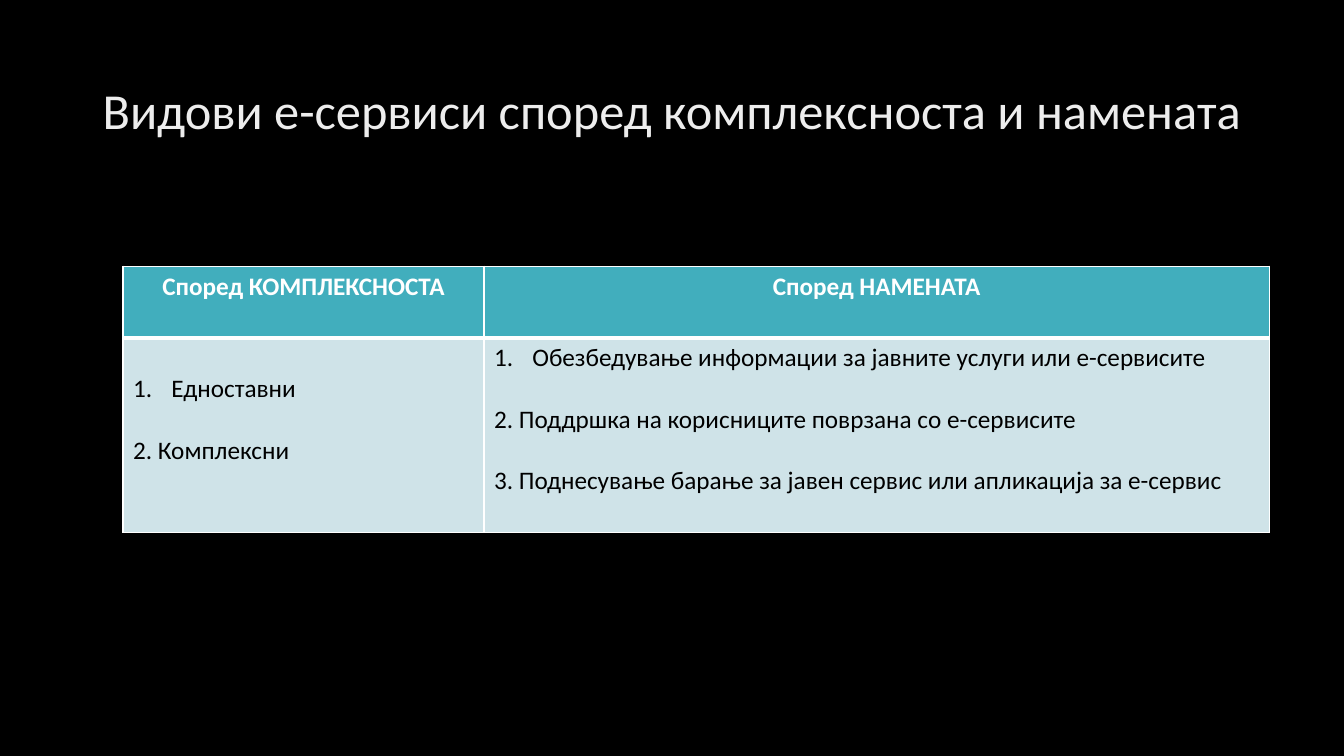
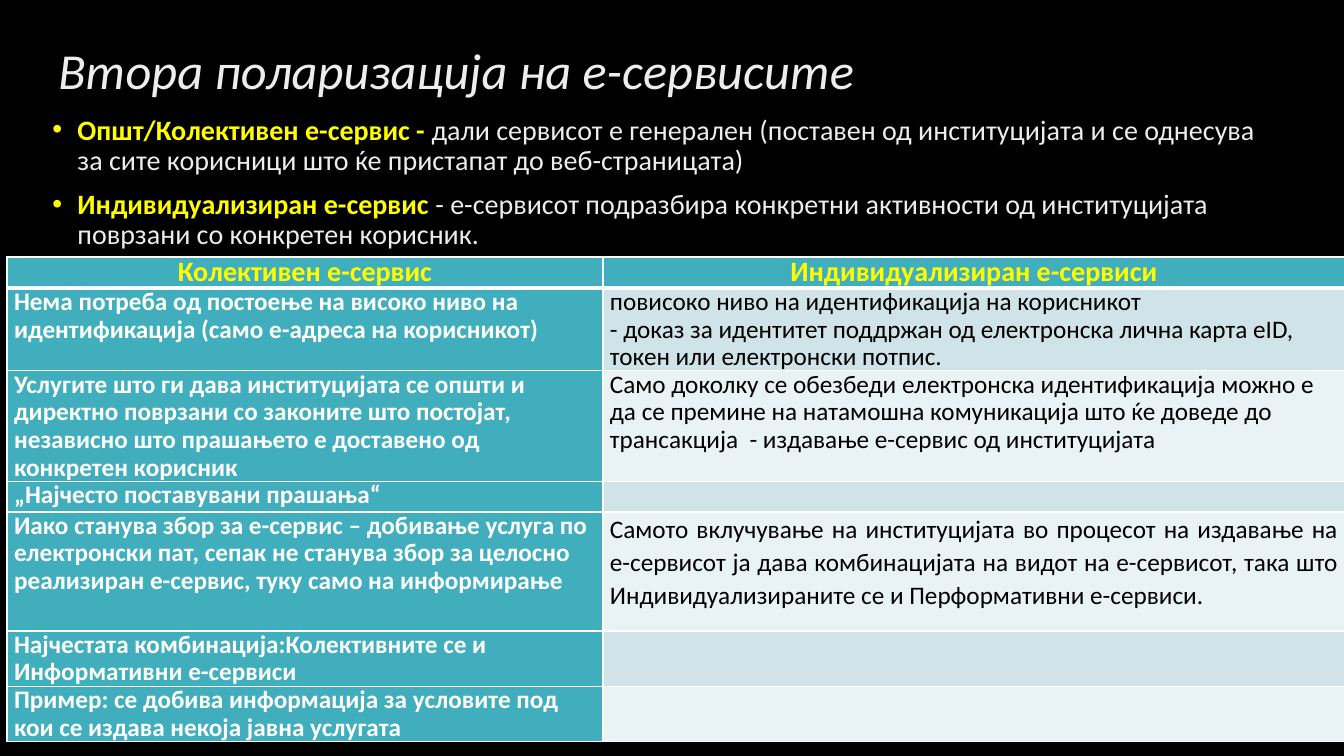
import pptx
import pptx.util
import pptx.dml.color
import pptx.enum.text
from lxml import etree
from pptx.oxml.ns import qn
from pptx.util import Inches, Pt

COLORS = {
    "background": "000000",
    "light": "EDEDED",
    "accent": "FFFF00",
    "header": "41AEBD",
    "band_dark": "CFE3E8",
    "band_light": "E9F2F4",
    "white": "FFFFFF",
    "black": "000000",
}
ALIGN = {
    "left": pptx.enum.text.PP_ALIGN.LEFT,
    "center": pptx.enum.text.PP_ALIGN.CENTER,
    "justify": pptx.enum.text.PP_ALIGN.JUSTIFY,
}


def rgb(name):
    return pptx.dml.color.RGBColor.from_string(COLORS[name])


def write(p, text, size=18, color="black", bold=False, italic=False,
          align="left", spacing=1.0, before=0, indent=0, bullet=None):
    """Add text to a paragraph; bullet is a character or "1." for numbering."""
    pPr = p._p.get_or_add_pPr()
    p.alignment = ALIGN[align]
    p.line_spacing = spacing
    p.space_before = Pt(before)
    if bullet and pPr.find(qn("a:buChar")) is None:
        pPr.set("marL", str(Inches(indent)))
        pPr.set("indent", str(-Inches(indent)))
        etree.SubElement(pPr, qn("a:buFont")).set("typeface", "+mj-lt" if bullet == "1." else "Arial")
        if bullet == "1.":
            etree.SubElement(pPr, qn("a:buAutoNum")).set("type", "arabicPeriod")
        else:
            etree.SubElement(pPr, qn("a:buChar")).set("char", bullet)
    if text:
        r = p.add_run()
        r.text = text
        r.font.name = "Calibri"
        r.font.size = Pt(size)
        r.font.bold = bold
        r.font.italic = italic
        r.font.color.rgb = rgb(color)


def paragraph(tf, index):
    return tf.paragraphs[0] if index == 0 else tf.add_paragraph()


def set_borders(cell, **widths):
    """Draw white cell borders; widths are points by side, in the order L, R, T, B."""
    tcPr = cell._tc.get_or_add_tcPr()
    for side, width in widths.items():
        ln = etree.SubElement(tcPr, qn("a:ln" + side), w=str(Pt(width)))
        fill = etree.SubElement(ln, qn("a:solidFill"))
        etree.SubElement(fill, qn("a:srgbClr")).set("val", COLORS["white"])


class Deck:
    """Holds the presentation, its style and the current slide."""

    def __init__(self):
        self.prs = pptx.Presentation()
        self.prs.slide_width, self.prs.slide_height = Inches(13.33), Inches(7.5)
        fill = self.prs.slide_master.background.fill
        fill.solid()
        fill.fore_color.rgb = rgb("background")
        self.s = None

    def new_slide(self):
        self.s = self.prs.slides.add_slide(self.prs.slide_layouts[6])

    def text_frame(self, left, top, width, height):
        tf = self.s.shapes.add_textbox(*map(Inches, (left, top, width, height))).text_frame
        tf.word_wrap = True
        return tf

    def title(self, text, left, top, width, italic=False):
        tf = self.text_frame(left, top, width, 1.45)
        tf.vertical_anchor = pptx.enum.text.MSO_ANCHOR.MIDDLE
        write(tf.paragraphs[0], text, size=36, color="light", italic=italic, spacing=0.9)

    def definitions(self, items, left, top, width, height):
        """Bulleted list of a highlighted term and its explanation."""
        tf = self.text_frame(left, top, width, height)
        for i, (term, explanation) in enumerate(items):
            p = paragraph(tf, i)
            style = dict(size=20, spacing=0.9, before=10 if i else 0, indent=0.25, bullet="•")
            write(p, term, color="accent", bold=True, **style)
            write(p, explanation, color="light", **style)

    def table(self, left, top, widths, heights):
        """Empty table with a coloured header row, banded rows and white borders."""
        frame = self.s.shapes.add_table(
            len(heights), len(widths), Inches(left), Inches(top),
            Inches(sum(widths)), Inches(sum(heights)))
        table = frame.table
        for column, width in zip(table.columns, widths):
            column.width = Inches(width)
        for i, height in enumerate(heights):
            table.rows[i].height = Inches(height)
            for cell in table.rows[i].cells:
                set_borders(cell, L=1, R=1, T=3 if i == 1 else 1, B=3 if i == 0 else 1)
                self.fill(cell, "header" if i == 0 else "band_dark" if i % 2 else "band_light")
        return table

    def fill(self, cell, color):
        cell.fill.solid()
        cell.fill.fore_color.rgb = rgb(color)

    def cell(self, cell, lines, **style):
        for i, line in enumerate(lines):
            write(paragraph(cell.text_frame, i), line, **style)


def kinds_slide(deck):
    deck.new_slide()
    deck.title("Видови е-сервиси според комплексноста и намената", 0.92, 0.4, 11.9)
    columns = [
        ("Според КОМПЛЕКСНОСТА", 0.36, ["Едноставни", "2. Комплексни"]),
        ("Според НАМЕНАТА", 0.05, [
            "Обезбедување информации за јавните услуги или е-сервисите",
            "2. Поддршка на корисниците поврзана со е-сервисите",
            "3. Поднесување барање за јавен сервис или апликација за е-сервис"]),
    ]
    table = deck.table(1.22, 2.64, [3.58, 7.79], [0.71, 1.93])
    for j, (heading, margin_top, kinds) in enumerate(columns):
        deck.cell(table.cell(0, j), [heading], color="white", bold=True, align="center")
        cell = table.cell(1, j)
        cell.margin_top = Inches(margin_top)
        for i, kind in enumerate(kinds):
            style = dict(before=22) if i else dict(indent=0.38, bullet="1.")
            write(paragraph(cell.text_frame, i), kind, **style)


def polarization_slide(deck):
    deck.new_slide()
    deck.title("Втора поларизација на е-сервисите", 0.48, 0, 11.5, italic=True)
    deck.definitions([
        ("Општ/Колективен е-сервис - ",
         "дали сервисот е генерален (поставен од институцијата и се однесува "
         "за сите корисници што ќе пристапат до веб-страницата)"),
        ("Индивидуализиран е-сервис",
         " - е-сервисот подразбира конкретни активности од институцијата "
         "поврзани со конкретен корисник."),
    ], 0.42, 1.1, 12.42, 1.45)
    rows = [
        ("Колективен е-сервис", ["Индивидуализиран е-сервиси"]),
        ("Нема потреба од постоење на високо ниво на идентификација "
         "(само е-адреса на корисникот)",
         ["повисоко ниво на идентификација на корисникот",
          "- доказ за идентитет поддржан од електронска лична карта eID, "
          "токен или електронски потпис."]),
        ("Услугите што ги дава институцијата се општи и директно поврзани со законите "
         "што постојат, независно што прашањето е доставено од конкретен корисник",
         ["Само доколку се обезбеди електронска идентификација можно е да се премине на "
          "натамошна комуникација што ќе доведе до трансакција  - издавање е-сервис "
          "од институцијата"]),
        ("„Најчесто поставувани прашања“", [""]),
        ("Иако станува збор за е-сервис – добивање услуга по електронски пат, сепак не "
         "станува збор за целосно реализиран е-сервис, туку само на информирање",
         ["Самото вклучување на институцијата во процесот на издавање на е-сервисот ја дава "
          "комбинацијата на видот на е-сервисот, така што Индивидуализираните се и "
          "Перформативни е-сервиси."]),
        ("Најчестата комбинација:Колективните се и Информативни е-сервиси", [""]),
        ("Пример: се добива информација за условите под кои се издава некоја јавна услугата",
         [""]),
    ]
    table = deck.table(0.07, 2.55, [5.91, 7.36], [0.31, 0.82, 1.1, 0.27, 1.18, 0.55, 0.55])
    heading = dict(size=20, color="accent", bold=True, align="center", spacing=0.9)
    for i, (collective, individual) in enumerate(rows):
        left, right = table.rows[i].cells
        for cell in (left, right):
            cell.margin_left = cell.margin_right = Inches(0.07)
            cell.margin_top = cell.margin_bottom = 0
        deck.fill(left, "header")
        if i == 0:
            left_style = right_style = heading
        else:
            left_style = dict(color="white", bold=True, spacing=0.9)
            right_style = dict(align="justify", spacing=1.07) if i == 4 else dict(spacing=0.9)
        deck.cell(left, [collective], **left_style)
        deck.cell(right, individual, **right_style)


def main():
    deck = Deck()
    kinds_slide(deck)
    polarization_slide(deck)
    deck.prs.save("out.pptx")


if __name__ == "__main__":
    main()
